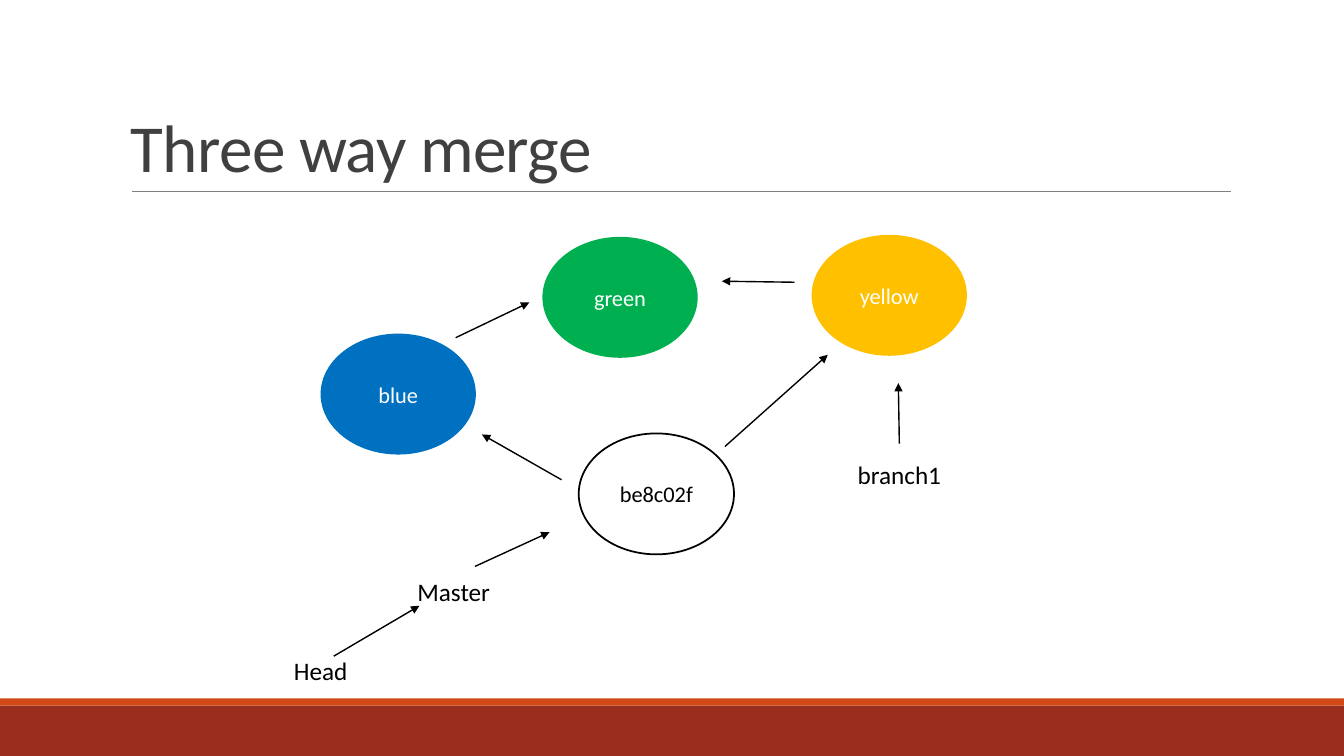
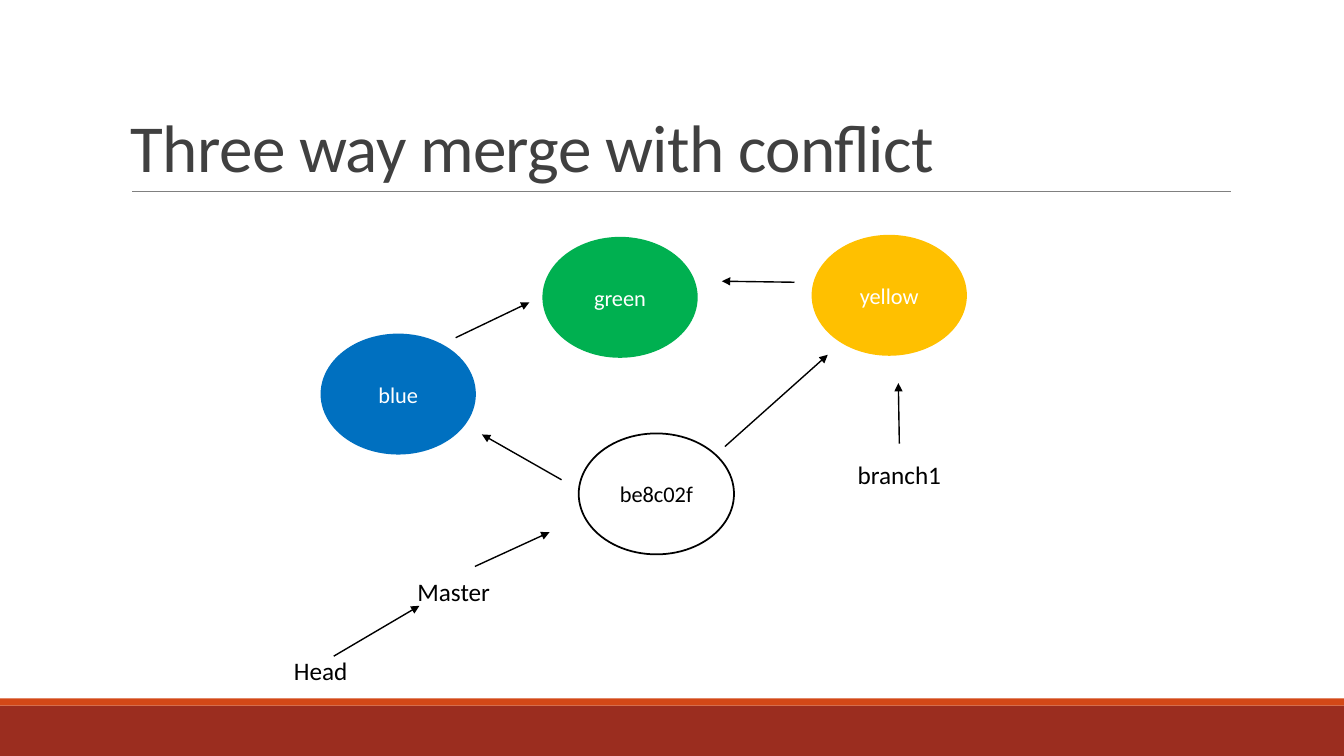
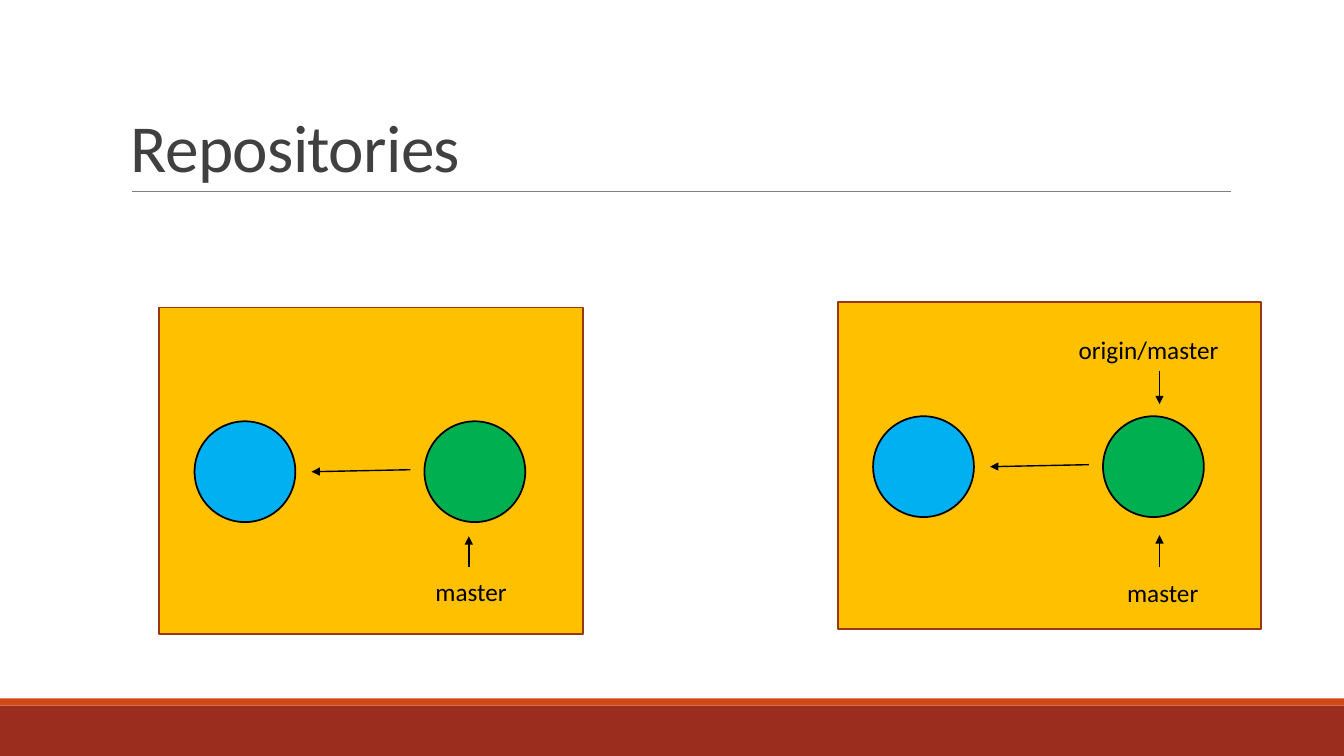
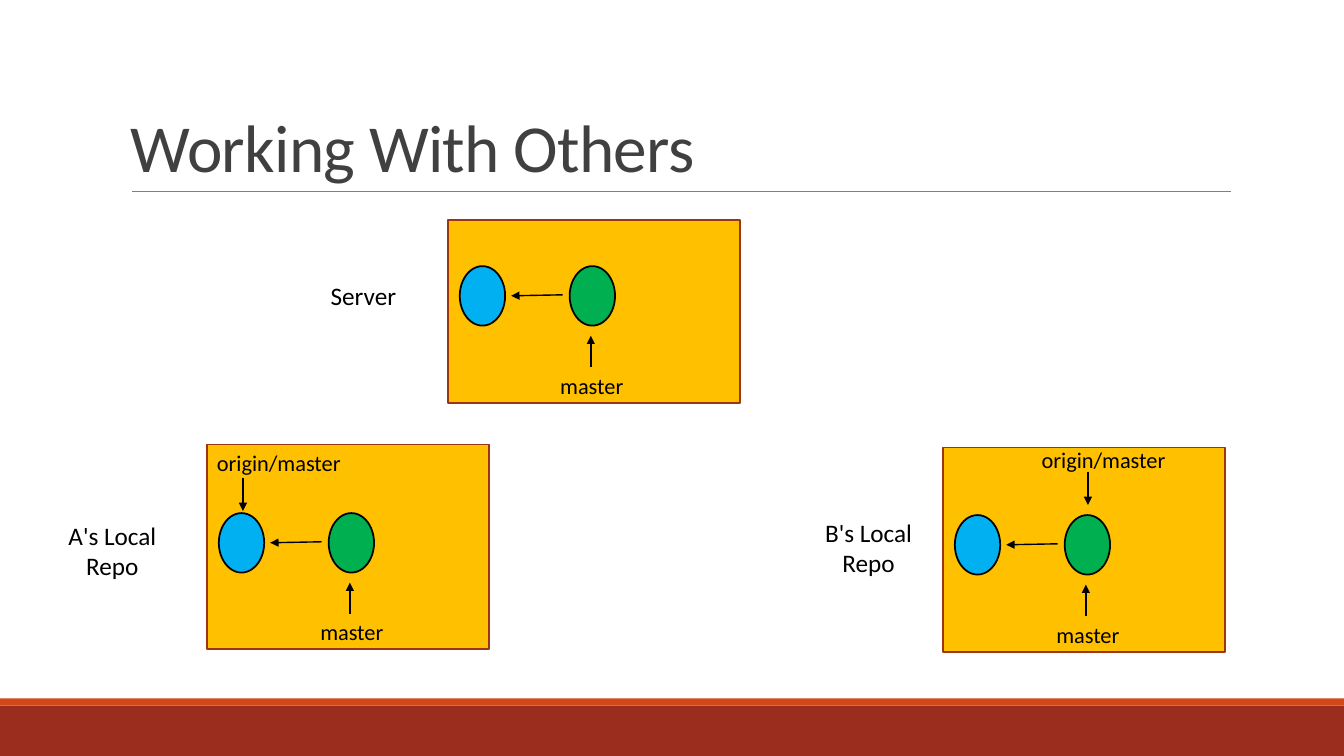
from dataclasses import dataclass

from lxml.etree import SubElement
from pptx import Presentation
from pptx.dml.color import RGBColor
from pptx.enum.shapes import MSO_CONNECTOR, MSO_SHAPE
from pptx.enum.text import MSO_ANCHOR, MSO_AUTO_SIZE, PP_ALIGN
from pptx.oxml.ns import qn
from pptx.shapes.autoshape import Shape
from pptx.shapes.connector import Connector
from pptx.slide import Slide
from pptx.text.text import TextFrame
from pptx.util import Inches, Pt


@dataclass(frozen=True)
class Theme:
    font: str = "Calibri"
    title_size: float = 48
    label_size: float = 18
    small_size: float = 16
    title_spacing: float = -0.5
    title_line_spacing: float = 0.85
    outline_width: float = 1.25
    arrow_width: float = 1
    rule_width: float = 0.5
    black: str = "000000"
    white: str = "FFFFFF"
    title: str = "404040"
    rule: str = "808080"
    footer: str = "9B2D1F"
    footer_edge: str = "D34817"
    panel_line: str = "9C3511"
    amber: str = "FFC000"
    green: str = "00B050"
    blue: str = "0070C0"
    sky: str = "00B0F0"


THEME = Theme()
SLIDE_WIDTH, SLIDE_HEIGHT = 13.33, 7.5


@dataclass(frozen=True)
class Box:
    left: float
    top: float
    width: float
    height: float


@dataclass(frozen=True)
class Arrow:
    start: tuple[float, float]
    end: tuple[float, float]


@dataclass(frozen=True)
class Label:
    text: str
    box: Box
    size: float = THEME.label_size
    align: PP_ALIGN = PP_ALIGN.CENTER


@dataclass(frozen=True)
class Commit:
    text: str
    left: float
    top: float
    fill: str
    text_color: str = THEME.white
    line: str | None = None


@dataclass(frozen=True)
class Pointer:
    """A branch name and the arrow from it to a commit."""
    label: Label
    arrow: Arrow


@dataclass(frozen=True)
class CommitPair:
    """Measures of two linked commits inside a repository panel."""
    inset: float
    width: float
    height: float
    step: float
    gap_start: float
    gap_end: float
    rise: float


@dataclass(frozen=True)
class Repository:
    panel: Box
    commit_top: float
    pointers: tuple[Pointer, ...]


MERGE_COMMIT_SIZE = (1.54, 1.2)
MERGE_COMMITS = (
    Commit("green", 5.38, 2.35, THEME.green),
    Commit("yellow", 8.05, 2.33, THEME.amber),
    Commit("blue", 3.18, 3.31, THEME.blue),
    Commit("be8c02f", 5.74, 4.3, THEME.white, THEME.black, THEME.black),
)
MERGE_LABELS = (
    Label("Master", Box(3.41, 5.67, 2.18, 0.4)),
    Label("branch1", Box(7.83, 4.51, 2.18, 0.4)),
    Label("Head", Box(2.37, 6.45, 1.62, 0.4)),
)
MERGE_ARROWS = (
    Arrow((3.31, 6.51), (4.16, 6.01)),
    Arrow((8.92, 4.4), (8.91, 3.8)),
    Arrow((7.88, 2.8), (7.16, 2.79)),
    Arrow((4.52, 3.35), (5.25, 3)),
    Arrow((4.71, 5.62), (5.45, 5.28)),
    Arrow((5.57, 4.76), (4.78, 4.31)),
    Arrow((7.19, 4.43), (8.21, 3.52)),
)


def large_pointer(text: str, left: float, top: float, width: float, arrow: Arrow) -> Pointer:
    return Pointer(Label(text, Box(left, top, width, 0.4), align=PP_ALIGN.LEFT), arrow)


def small_pointer(text: str, left: float, top: float, width: float, arrow: Arrow) -> Pointer:
    return Pointer(Label(text, Box(left, top, width, 0.37), THEME.small_size), arrow)


LARGE_PAIR = CommitPair(0.35, 1, 1, 2.28, 0.14, 0.16, 0.02)
LARGE_REPOSITORIES = (
    Repository(Box(1.58, 3.05, 4.2, 3.24), 4.18, (
        large_pointer("master", 4.22, 5.67, 0.99, Arrow((4.65, 5.63), (4.65, 5.32))),
    )),
    Repository(Box(8.31, 3, 4.2, 3.24), 4.13, (
        large_pointer("master", 11.08, 5.68, 0.99, Arrow((11.5, 5.63), (11.5, 5.31))),
        large_pointer("origin/master", 10.6, 3.27, 2.05, Arrow((11.5, 3.68), (11.5, 4.01))),
    )),
)

SMALL_PAIR = CommitPair(0.12, 0.45, 0.59, 1.09, 0.07, 0.06, 0.01)
SMALL_REPOSITORIES = (
    Repository(Box(4.44, 2.18, 2.9, 1.82), 2.64, (
        small_pointer("master", 5.27, 3.64, 1.2, Arrow((5.86, 3.64), (5.86, 3.33))),
    )),
    Repository(Box(9.35, 4.44, 2.8, 2.03), 5.11, (
        small_pointer("master", 10.19, 6.11, 1.2, Arrow((10.77, 6.11), (10.77, 5.8))),
        small_pointer("origin/master", 9.92, 4.38, 2.05, Arrow((10.79, 4.68), (10.79, 5.01))),
    )),
    Repository(Box(2.05, 4.41, 2.8, 2.03), 5.09, (
        small_pointer("master", 2.89, 6.08, 1.2, Arrow((3.47, 6.09), (3.47, 5.78))),
        small_pointer("origin/master", 1.74, 4.41, 2.05, Arrow((2.41, 4.74), (2.41, 5.07))),
    )),
)
REPOSITORY_NAMES = (
    Label("Server", Box(2.99, 2.73, 1.23, 0.4)),
    Label("A's Local Repo", Box(0.5, 5.11, 1.23, 0.71)),
    Label("B's Local Repo", Box(8, 5.08, 1.23, 0.71)),
)


def lengths(box: Box) -> tuple[Inches, Inches, Inches, Inches]:
    return Inches(box.left), Inches(box.top), Inches(box.width), Inches(box.height)


def write(frame: TextFrame, text: str, size: float, color: str, align: PP_ALIGN) -> None:
    frame.word_wrap = True
    paragraph = frame.paragraphs[0]
    paragraph.alignment = align
    run = paragraph.add_run()
    run.text = text
    run.font.name = THEME.font
    run.font.size = Pt(size)
    run.font.color.rgb = RGBColor.from_string(color)


def add_figure(slide: Slide, kind: MSO_SHAPE, box: Box, fill: str,
               line: str | None = None) -> Shape:
    shape = slide.shapes.add_shape(kind, *lengths(box))
    shape.shadow.inherit = False
    shape.fill.solid()
    shape.fill.fore_color.rgb = RGBColor.from_string(fill)
    if line is None:
        shape.line.fill.background()
    else:
        shape.line.color.rgb = RGBColor.from_string(line)
        shape.line.width = Pt(THEME.outline_width)
    return shape


def add_line(slide: Slide, start: tuple[float, float], end: tuple[float, float],
             color: str, width: float) -> Connector:
    connector = slide.shapes.add_connector(
        MSO_CONNECTOR.STRAIGHT, *(Inches(value) for value in (*start, *end)))
    connector.line.color.rgb = RGBColor.from_string(color)
    connector.line.width = Pt(width)
    SubElement(connector._element.spPr, qn("a:effectLst"))
    return connector


def add_arrow(slide: Slide, arrow: Arrow) -> None:
    connector = add_line(slide, arrow.start, arrow.end, THEME.black, THEME.arrow_width)
    SubElement(connector.line._get_or_add_ln(), qn("a:tailEnd"), type="triangle")


def add_label(slide: Slide, label: Label) -> None:
    frame = slide.shapes.add_textbox(*lengths(label.box)).text_frame
    write(frame, label.text, label.size, THEME.black, label.align)
    frame.auto_size = MSO_AUTO_SIZE.SHAPE_TO_FIT_TEXT


def add_title(slide: Slide, text: str) -> None:
    frame = slide.shapes.add_textbox(*lengths(Box(1.2, 0.31, 11, 1.59))).text_frame
    frame.vertical_anchor = MSO_ANCHOR.BOTTOM
    write(frame, text, THEME.title_size, THEME.title, PP_ALIGN.LEFT)
    paragraph = frame.paragraphs[0]
    paragraph.line_spacing = THEME.title_line_spacing
    properties = paragraph.runs[0]._r.get_or_add_rPr()
    properties.set("spc", str(round(THEME.title_spacing * 100)))


def add_titled_slide(presentation: Presentation, title: str) -> Slide:
    """Add a slide with the shared footer bands, title and rule."""
    slide = presentation.slides.add_slide(presentation.slide_layouts[6])
    add_figure(slide, MSO_SHAPE.RECTANGLE, Box(0, 7, SLIDE_WIDTH, 0.5), THEME.footer)
    add_figure(slide, MSO_SHAPE.RECTANGLE, Box(0, 6.93, SLIDE_WIDTH, 0.07), THEME.footer_edge)
    add_line(slide, (1.31, 1.9), (12.21, 1.9), THEME.rule, THEME.rule_width)
    add_title(slide, title)
    return slide


def add_merge_slide(presentation: Presentation, title: str) -> None:
    slide = add_titled_slide(presentation, title)
    for commit in MERGE_COMMITS:
        box = Box(commit.left, commit.top, *MERGE_COMMIT_SIZE)
        shape = add_figure(slide, MSO_SHAPE.OVAL, box, commit.fill, commit.line)
        shape.text_frame.vertical_anchor = MSO_ANCHOR.MIDDLE
        write(shape.text_frame, commit.text, THEME.small_size, commit.text_color,
              PP_ALIGN.CENTER)
    for label in MERGE_LABELS:
        add_label(slide, label)
    for arrow in MERGE_ARROWS:
        add_arrow(slide, arrow)


def add_repository(slide: Slide, repository: Repository, pair: CommitPair) -> None:
    add_figure(slide, MSO_SHAPE.RECTANGLE, repository.panel, THEME.amber, THEME.panel_line)
    parent_left = repository.panel.left + pair.inset
    child_left = parent_left + pair.step
    for left, fill in ((parent_left, THEME.sky), (child_left, THEME.green)):
        box = Box(left, repository.commit_top, pair.width, pair.height)
        add_figure(slide, MSO_SHAPE.OVAL, box, fill, THEME.black)
    middle = repository.commit_top + pair.height / 2
    add_arrow(slide, Arrow((child_left - pair.gap_start, middle - pair.rise),
                           (parent_left + pair.width + pair.gap_end, middle)))
    for pointer in repository.pointers:
        add_arrow(slide, pointer.arrow)
        add_label(slide, pointer.label)


def add_repository_slide(presentation: Presentation, title: str,
                         repositories: tuple[Repository, ...], pair: CommitPair,
                         names: tuple[Label, ...] = ()) -> None:
    slide = add_titled_slide(presentation, title)
    for repository in repositories:
        add_repository(slide, repository, pair)
    for name in names:
        add_label(slide, name)


def main() -> None:
    presentation = Presentation()
    presentation.slide_width = Inches(SLIDE_WIDTH)
    presentation.slide_height = Inches(SLIDE_HEIGHT)
    for title in ("Three way merge", "Three way merge with conflict"):
        add_merge_slide(presentation, title)
    add_repository_slide(presentation, "Repositories", LARGE_REPOSITORIES, LARGE_PAIR)
    add_repository_slide(presentation, "Working With Others", SMALL_REPOSITORIES,
                         SMALL_PAIR, REPOSITORY_NAMES)
    presentation.save("out.pptx")


if __name__ == "__main__":
    main()
